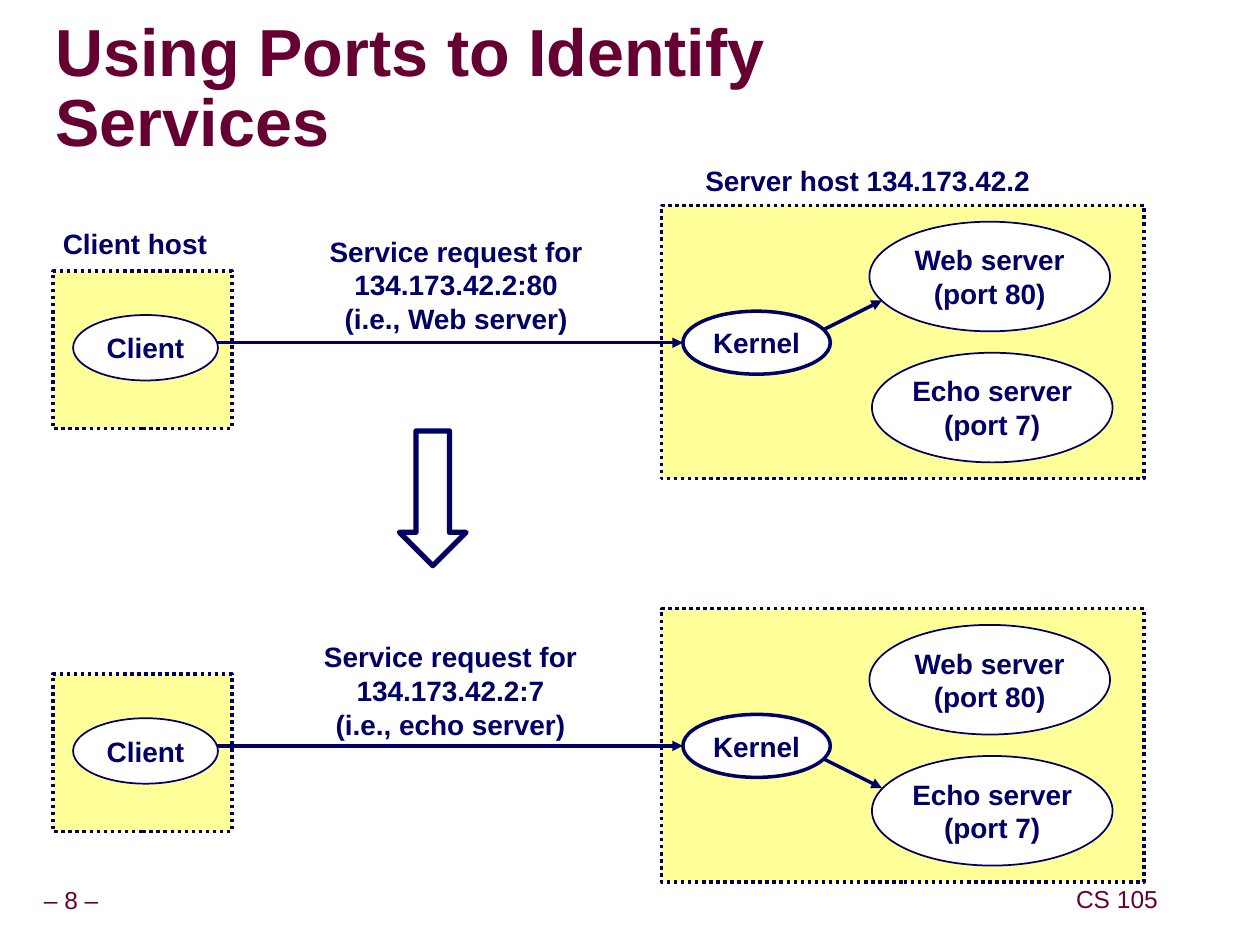
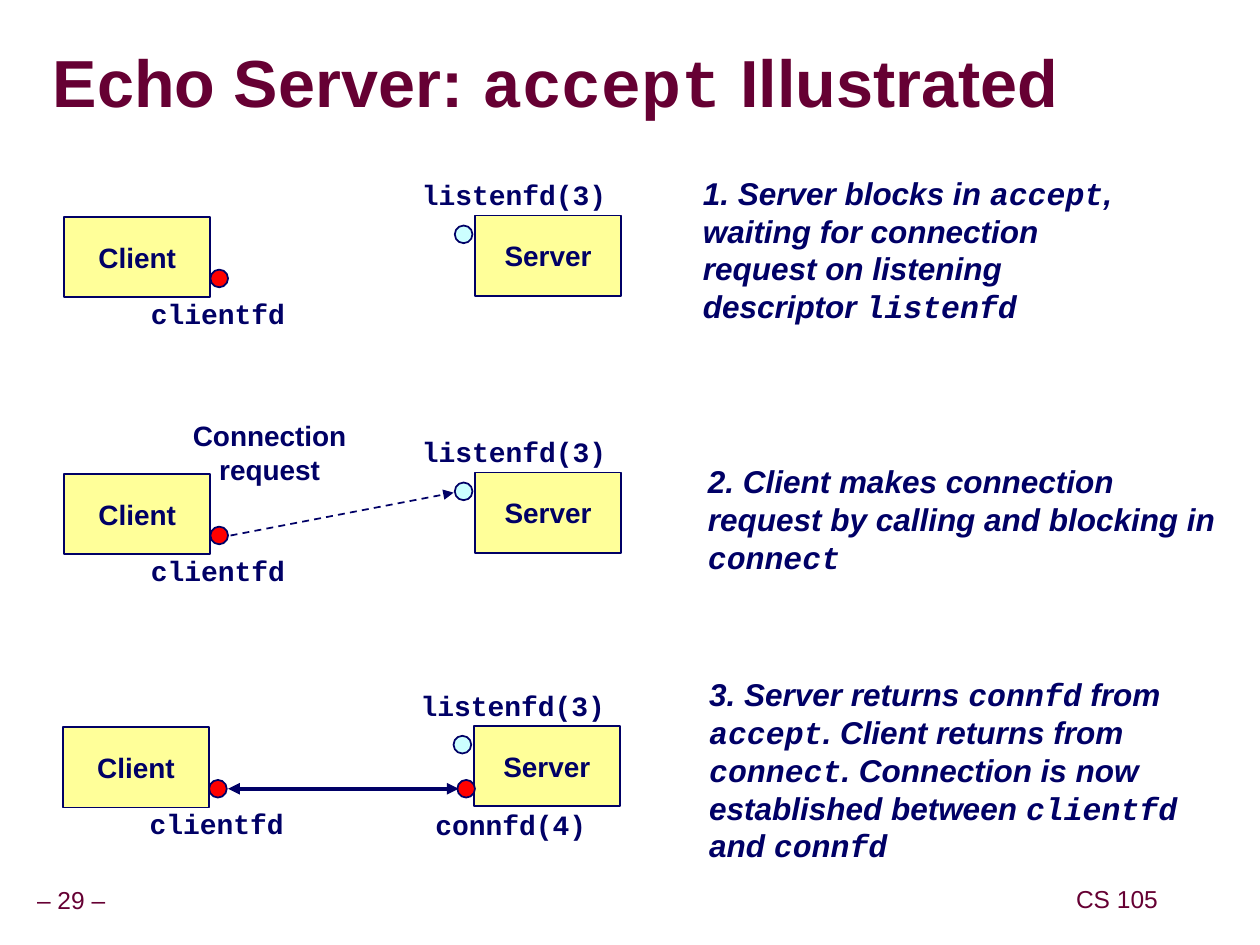
from lxml import etree
from pptx import Presentation
from pptx import util as u
from pptx.dml import color
from pptx.enum import dml, shapes, text
from pptx.oxml import ns

NAVY, WINE, CREAM, WHITE = "000066", "660033", "FFFF99", "FFFFFF"
RED, AQUA = "FF0000", "CCFFFF"
SANS, MONO = "Arial", "Courier New"
CENTER, LEFT = text.PP_ALIGN.CENTER, text.PP_ALIGN.LEFT
MIDDLE, TOP = text.MSO_ANCHOR.MIDDLE, text.MSO_ANCHOR.TOP
KIND = shapes.MSO_SHAPE
DASH = dml.MSO_LINE


def rgb(code):
    return color.RGBColor.from_string(code)


def inches(*sizes):
    return [u.Inches(size) for size in sizes]


def write(frame, words, size=16, tint=NAVY, bold=True, slant=False,
          align=CENTER, anchor=MIDDLE, wrap=False, pad=(0.1, 0.05), space=None):
    """Fill a text frame; a new line starts a paragraph, `backticks` mark code."""
    frame.word_wrap = wrap
    frame.auto_size = text.MSO_AUTO_SIZE.NONE
    frame.vertical_anchor = anchor
    frame.margin_left = frame.margin_right = u.Inches(pad[0])
    frame.margin_top = frame.margin_bottom = u.Inches(pad[1])
    for row, line in enumerate(words.split("\n")):
        para = frame.add_paragraph() if row else frame.paragraphs[0]
        para.alignment = align
        if space:
            para.line_spacing = space
        for spot, part in enumerate(line.split("`")):
            if part:
                run = para.add_run()
                run.text = part
                font = run.font
                font.name = MONO if spot % 2 else SANS
                font.size = u.Pt(size)
                font.bold, font.italic = bold, slant
                font.color.rgb = rgb(tint)


def label(slide, box, words, **style):
    write(slide.shapes.add_textbox(*inches(*box)).text_frame, words, **style)


def shape(slide, kind, box, fill=None, words="", width=1, dash=None):
    item = slide.shapes.add_shape(kind, *inches(*box))
    item.shadow.inherit = False
    if fill:
        item.fill.solid()
        item.fill.fore_color.rgb = rgb(fill)
    else:
        item.fill.background()
    item.line.color.rgb = rgb(NAVY)
    item.line.width = u.Pt(width)
    if dash:
        item.line.dash_style = dash
    if words:
        write(item.text_frame, words)
    return item


def host(slide, box):
    shape(slide, KIND.RECTANGLE, box, CREAM, width=2, dash=DASH.ROUND_DOT)


def oval(slide, box, words, width=1):
    shape(slide, KIND.OVAL, box, WHITE, words, width)


def node(slide, left, top, words):
    shape(slide, KIND.RECTANGLE, (left, top, 1.16, 0.64), CREAM, words)


def dot(slide, left, top, fill):
    shape(slide, KIND.OVAL, (left, top, 0.14, 0.14), fill)


def arrow(slide, start, end, width=2, dash=None, ends=("tailEnd",)):
    link = slide.shapes.add_connector(
        shapes.MSO_CONNECTOR.STRAIGHT, *inches(*start, *end))
    link.line.color.rgb = rgb(NAVY)
    link.line.width = u.Pt(width)
    if dash:
        link.line.dash_style = dash
    props = link._element.spPr
    for end_tag in ends:
        tip = etree.SubElement(link.line._get_or_add_ln(), ns.qn("a:" + end_tag))
        tip.set("type", "triangle")
    etree.SubElement(props, ns.qn("a:effectLst"))


def page(deck, title, box, number):
    """Add a slide with the shared title style and footers."""
    slide = deck.slides.add_slide(deck.slide_layouts[5])
    head = slide.shapes.title
    head.left, head.top, head.width, head.height = inches(*box)
    write(head.text_frame, title, size=38, tint=WINE, align=LEFT,
          wrap=True, pad=(0, 0), space=0.87)
    foot = dict(size=14, tint=WINE, bold=False, pad=(0.05, 0.05), space=0.9)
    label(slide, (-0.09, 7, 1.31, 0.31), f"– {number} –", **foot)
    label(slide, (8.49, 6.99, 0.75, 0.31), "CS 105", **foot)
    return slide


def request(slide, top, note, box, target):
    """Draw a client asking a server host whose top edge is given."""
    host(slide, (0.42, top + 0.52, 1.42, 1.25))
    host(slide, (5.25, top, 3.83, 2.17))
    oval(slide, (6.9, top + 0.13, 1.91, 0.87), "Web server\n(port 80)")
    oval(slide, (6.92, top + 1.17, 1.91, 0.87), "Echo server\n(port 7)")
    label(slide, box, note, anchor=TOP)
    mid = top + 1.09
    arrow(slide, (1.67, mid), (5.42, mid))
    arrow(slide, (6.5, mid + 0.085 * target), (7, mid + 0.335 * target))
    oval(slide, (5.42, mid - 0.25, 1.17, 0.5), "Kernel", width=2)
    oval(slide, (0.58, top + 0.87, 1.15, 0.52), "Client")


def ports(deck):
    slide = page(deck, "Using Ports to Identify Services",
                 (0.44, 0.17, 7.81, 1.1), 8)
    request(slide, 1.63,
            "Service request for\n134.173.42.2:80\n(i.e., Web server)",
            (2.17, 1.81, 2.9, 0.9), target=-1)
    request(slide, 4.83,
            "Service request for\n134.173.42.2:7\n(i.e., echo server)",
            (2.47, 5.03, 2.21, 0.9), target=1)
    label(slide, (0.4, 1.75, 1.34, 0.37), "Client host", align=LEFT, anchor=TOP)
    label(slide, (5.5, 1.25, 2.77, 0.37), "Server host 134.173.42.2",
          align=LEFT, anchor=TOP)
    shape(slide, KIND.DOWN_ARROW, (3.17, 3.42, 0.53, 1.07), width=3)


def stage(slide, left, top, note, box):
    """Draw one client and server pair with its explanation."""
    dot(slide, left + 3.1, top + 0.08, AQUA)
    label(slide, (left + 2.74, top - 0.35, 1.66, 0.37), "`listenfd(3)`")
    dot(slide, left + 1.16, top + 0.43, RED)
    node(slide, left, top + 0.01, "Client")
    label(slide, (left + 0.59, top + 0.59, 1.26, 0.37), "`clientfd`")
    node(slide, left + 3.26, top, "Server")
    label(slide, box, note, size=18, slant=True, align=LEFT, wrap=True)


def accept(deck):
    slide = page(deck, "Echo Server: `accept` Illustrated",
                 (0.42, 0.37, 9.17, 0.63), 29)
    stage(slide, 0.51, 1.71,
          "1. Server blocks in `accept`, waiting for connection request "
          "on listening descriptor `listenfd`", (5.48, 1.33, 3.6, 1.3))
    stage(slide, 0.51, 3.75,
          "2. Client makes connection request by calling and blocking in "
          "`connect`", (5.52, 3.62, 4.23, 1))
    stage(slide, 0.5, 5.76,
          "3. Server returns `connfd` from `accept`. Client returns from "
          "`connect`. Connection is now established between `clientfd` "
          "and `connfd`", (5.53, 5.31, 4.39, 1.6))
    arrow(slide, (1.83, 4.25), (3.6, 3.91), width=1, dash=DASH.DASH)
    label(slide, (1.43, 3.27, 1.42, 0.64), "Connection\nrequest")
    dot(slide, 3.63, 6.19, RED)
    label(slide, (3.36, 6.36, 1.39, 0.37), "`connfd(4)`")
    arrow(slide, (1.81, 6.26), (3.64, 6.26), width=2.25,
          ends=("headEnd", "tailEnd"))


def main():
    deck = Presentation()
    deck.slide_width, deck.slide_height = inches(10, 7.5)
    ports(deck)
    accept(deck)
    deck.save("out.pptx")


if __name__ == "__main__":
    main()
